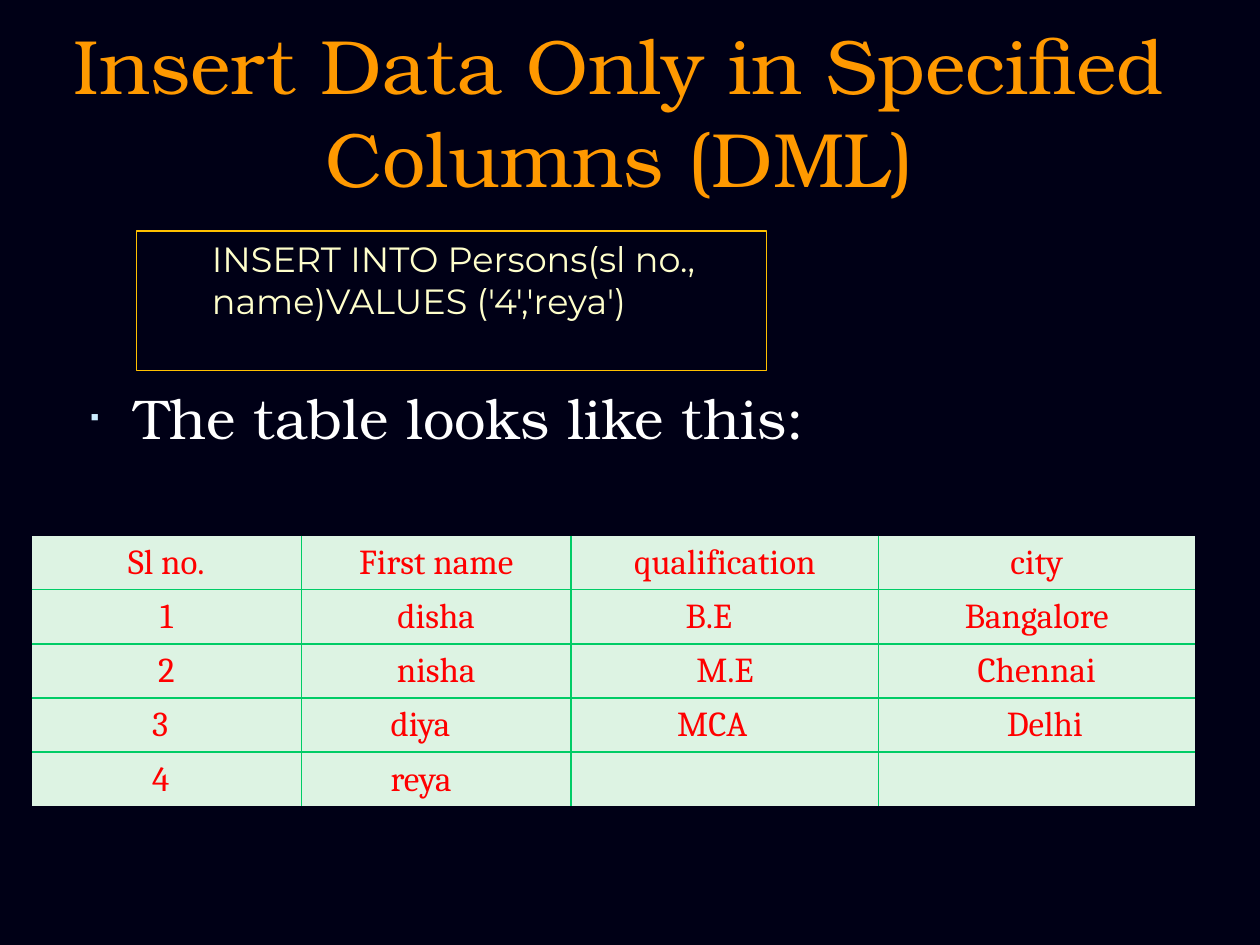
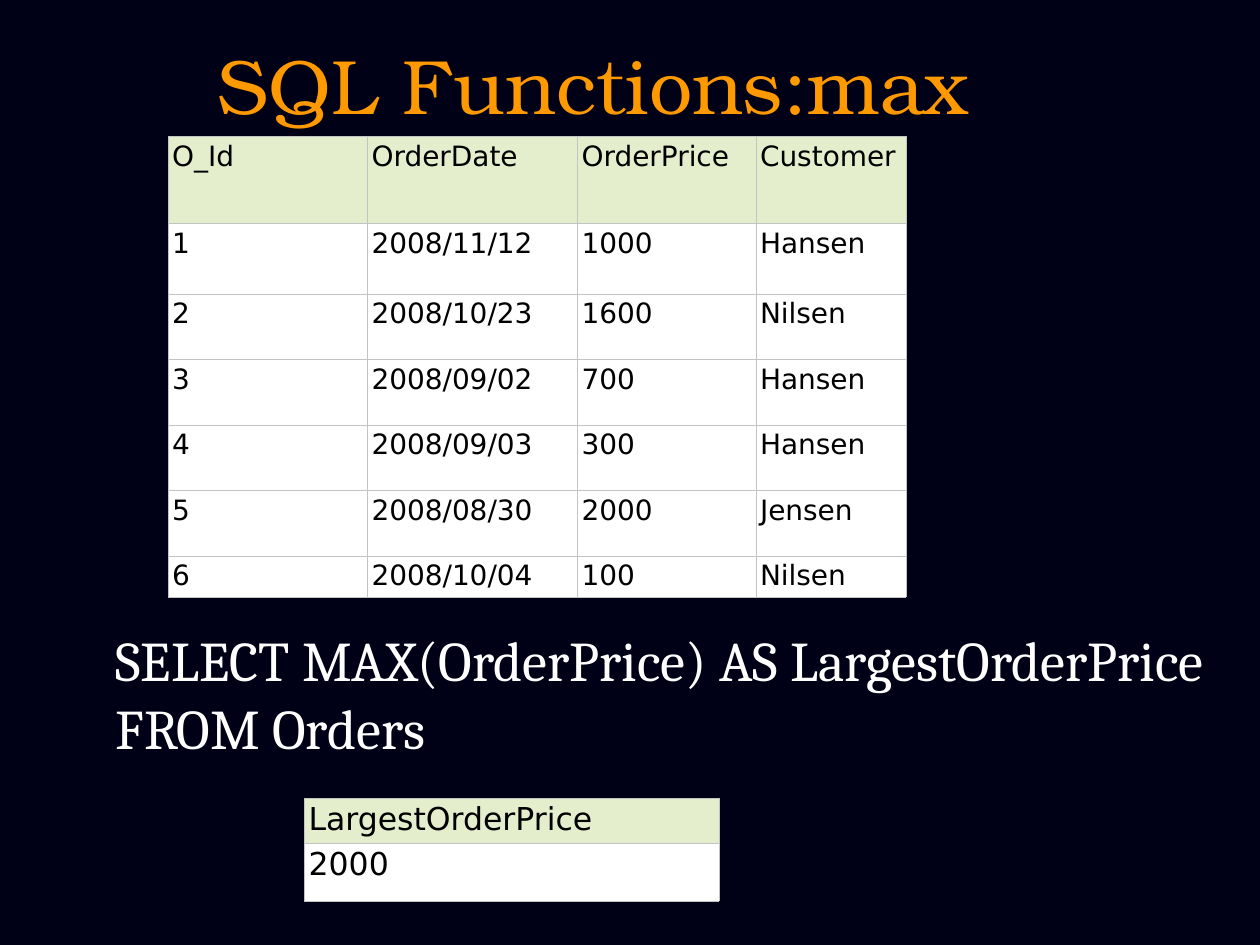
from collections import namedtuple

from lxml.etree import SubElement
from pptx import Presentation
from pptx.dml.color import RGBColor
from pptx.enum.shapes import MSO_SHAPE
from pptx.enum.text import MSO_ANCHOR, MSO_AUTO_SIZE, PP_ALIGN
from pptx.oxml.ns import qn
from pptx.util import Inches, Pt

Box = namedtuple("Box", "left top width height")
TextStyle = namedtuple("TextStyle", "font size color")
TableLook = namedtuple("TableLook", "text header body inner outer spacing margins")
Edge = namedtuple("Edge", "color points")

SLIDE_WIDTH, SLIDE_HEIGHT = Inches(10), Inches(7.5)
COLUMNS = 120
UNIT = SLIDE_WIDTH / COLUMNS

NAVY = "000016"
WHITE = "FFFFFF"
TITLE = TextStyle("TeX Gyre Bonum", 44, "FF9900")
BULLET = TextStyle("TeX Gyre Bonum", 32, WHITE)
QUERY = TextStyle("Cambria", 32, WHITE)
CODE = TextStyle("Montserrat", 20, "FFFFCC")

GREEN_EDGE = Edge("00CC66", 1)
GREY_EDGE = Edge("C3C3C3", 0.34)
PERSONS_LOOK = TableLook(
    TextStyle("Cambria", 20, "FF0000"), "DDF3E3", "DDF3E3",
    GREEN_EDGE, Edge(WHITE, 0.03), 0.93, (1.2, 0.85, 1.2, 0.6))
ORDERS_LOOK = TableLook(
    TextStyle("DejaVu Sans", 16, "000000"), "E5EECC", WHITE,
    GREY_EDGE, GREY_EDGE, 0.94, (0.4, 0.5, 0.4, 0.4))
RESULT_LOOK = ORDERS_LOOK._replace(text=TextStyle("DejaVu Sans", 18, "000000"))

PERSONS = [
    ["Sl no.", "First name", "qualification", "city"],
    ["1", "disha", "B.E", "Bangalore"],
    ["2", "nisha", "M.E", "Chennai"],
    ["3", "diya", "MCA", "Delhi"],
    ["4", "reya", "", ""],
]
PERSONS_INDENTS = {
    (1, 2): 9.7,
    (3, 0): 10.3, (3, 1): 7.3, (3, 2): 8.9, (3, 3): 11,
    (4, 0): 10.3, (4, 1): 7.3,
}
ORDERS = [
    ["O_Id", "OrderDate", "OrderPrice", "Customer"],
    ["1", "2008/11/12", "1000", "Hansen"],
    ["2", "2008/10/23", "1600", "Nilsen"],
    ["3", "2008/09/02", "700", "Hansen"],
    ["4", "2008/09/03", "300", "Hansen"],
    ["5", "2008/08/30", "2000", "Jensen"],
    ["6", "2008/10/04", "100", "Nilsen"],
]


def grid(count):
    return round(count * UNIT)


def paint(target, color):
    target.solid()
    target.fore_color.rgb = RGBColor.from_string(color)


def place(shape, box):
    shape.left, shape.top, shape.width, shape.height = map(grid, box)


def write(para, text, style):
    span = para.add_run()
    span.text = text
    span.font.name = style.font
    span.font.size = Pt(style.size)
    span.font.bold = False
    span.font.color.rgb = RGBColor.from_string(style.color)


def indent(para, left, first=0):
    properties = para._p.get_or_add_pPr()
    properties.set("marL", str(grid(left)))
    properties.set("indent", str(grid(first)))
    return properties


def add_title(page, box, text):
    title = page.shapes.title
    place(title, box)
    frame = title.text_frame
    frame.auto_size = MSO_AUTO_SIZE.NONE
    frame.vertical_anchor = MSO_ANCHOR.MIDDLE
    para = frame.paragraphs[0]
    para.alignment = PP_ALIGN.CENTER
    write(para, text, TITLE)


def open_body(page, box):
    body = page.placeholders[1]
    place(body, box)
    frame = body.text_frame
    frame.auto_size = MSO_AUTO_SIZE.NONE
    para = frame.paragraphs[0]
    para.space_before = Pt(0)
    return frame, para


def add_bullet(page, box, text):
    frame, para = open_body(page, box)
    frame.margin_top = grid(box.height * 0.645)
    properties = indent(para, 5.6, -4.2)
    color = SubElement(properties, qn("a:buClr"))
    SubElement(color, qn("a:srgbClr"), val="CCECFF")
    SubElement(properties, qn("a:buSzPct"), val="45000")
    SubElement(properties, qn("a:buChar"), char="▪")
    write(para, text, BULLET)


def add_query(page, box, text):
    frame, para = open_body(page, box)
    SubElement(indent(para, 5.8), qn("a:buNone"))
    write(para, text, QUERY)


def add_code_box(page, box, text):
    shape = page.shapes.add_shape(MSO_SHAPE.RECTANGLE, *map(grid, box))
    shape.shadow.inherit = False
    shape.fill.background()
    paint(shape.line.fill, "FFC000")
    shape.line.width = Pt(0.75)
    frame = shape.text_frame
    frame.word_wrap = True
    frame.vertical_anchor = MSO_ANCHOR.TOP
    para = frame.paragraphs[0]
    para.alignment = PP_ALIGN.LEFT
    indent(para, 6)
    write(para, text, CODE)


def set_edges(cell, edges):
    properties = cell._tc.get_or_add_tcPr()
    for position, (side, edge) in enumerate(edges.items()):
        line = SubElement(properties, qn(f"a:ln{side}"), w=str(Pt(edge.points)))
        fill = SubElement(line, qn("a:solidFill"))
        SubElement(fill, qn("a:srgbClr"), val=edge.color)
        properties.insert(position, line)


def add_grid_table(page, box, rows, widths, heights, look,
                   alignment=PP_ALIGN.LEFT, indents={}):
    last_row, last_column = len(rows) - 1, len(widths) - 1
    table = page.shapes.add_table(len(rows), len(widths), *map(grid, box)).table
    table.first_row = table.horz_banding = False
    for column, width in zip(table.columns, widths):
        column.width = grid(box.width * width / sum(widths))
    for row, height in zip(table.rows, heights):
        row.height = grid(box.height * height / sum(heights))
    for r, values in enumerate(rows):
        for c, value in enumerate(values):
            cell = table.cell(r, c)
            paint(cell.fill, look.body if r else look.header)
            (cell.margin_left, cell.margin_top,
             cell.margin_right, cell.margin_bottom) = map(grid, look.margins)
            set_edges(cell, {
                "L": look.inner if c else look.outer,
                "R": look.inner if c < last_column else look.outer,
                "T": look.inner if r else look.outer,
                "B": look.inner if r < last_row else look.outer,
            })
            if not value:
                continue
            para = cell.text_frame.paragraphs[0]
            para.line_spacing = look.spacing
            if (r, c) in indents:
                para.alignment = PP_ALIGN.LEFT
                indent(para, indents[r, c])
            else:
                para.alignment = alignment
            write(para, value, look.text)


def build_insert_slide(page):
    add_title(page, Box(5, 3, 108, 15), "Insert Data Only in Specified Columns (DML)")
    add_bullet(page, Box(6, 21, 108, 24), "The table looks like this:")
    add_grid_table(page, Box(3, 51, 110.8, 25.8), PERSONS,
                   [25.7, 25.7, 29.3, 30.1], [1] * len(PERSONS),
                   PERSONS_LOOK, PP_ALIGN.CENTER, PERSONS_INDENTS)
    add_code_box(page, Box(13, 22, 60, 13.3),
                 "INSERT INTO Persons(sl no., name)VALUES ('4','reya')")


def build_max_slide(page):
    add_title(page, Box(5, 3, 103, 10), "SQL Functions:max")
    add_query(page, Box(4, 59, 112, 13),
              "SELECT MAX(OrderPrice) AS LargestOrderPrice FROM Orders")
    add_grid_table(page, Box(16, 13, 70.3, 43.9), ORDERS,
                   [19, 20, 17, 14.3], [8.3, 6.7] + [6.25] * 4 + [3.9], ORDERS_LOOK)
    add_grid_table(page, Box(29, 76, 39.5, 9.8),
                   [["LargestOrderPrice"], ["2000"]], [1], [4.3, 5.5], RESULT_LOOK)


def main():
    deck = Presentation()
    deck.slide_width, deck.slide_height = SLIDE_WIDTH, SLIDE_HEIGHT
    paint(deck.slide_master.background.fill, NAVY)
    layout = deck.slide_layouts.get_by_name("Title and Content")
    for build in (build_insert_slide, build_max_slide):
        build(deck.slides.add_slide(layout))
    deck.save("out.pptx")


if __name__ == "__main__":
    main()
